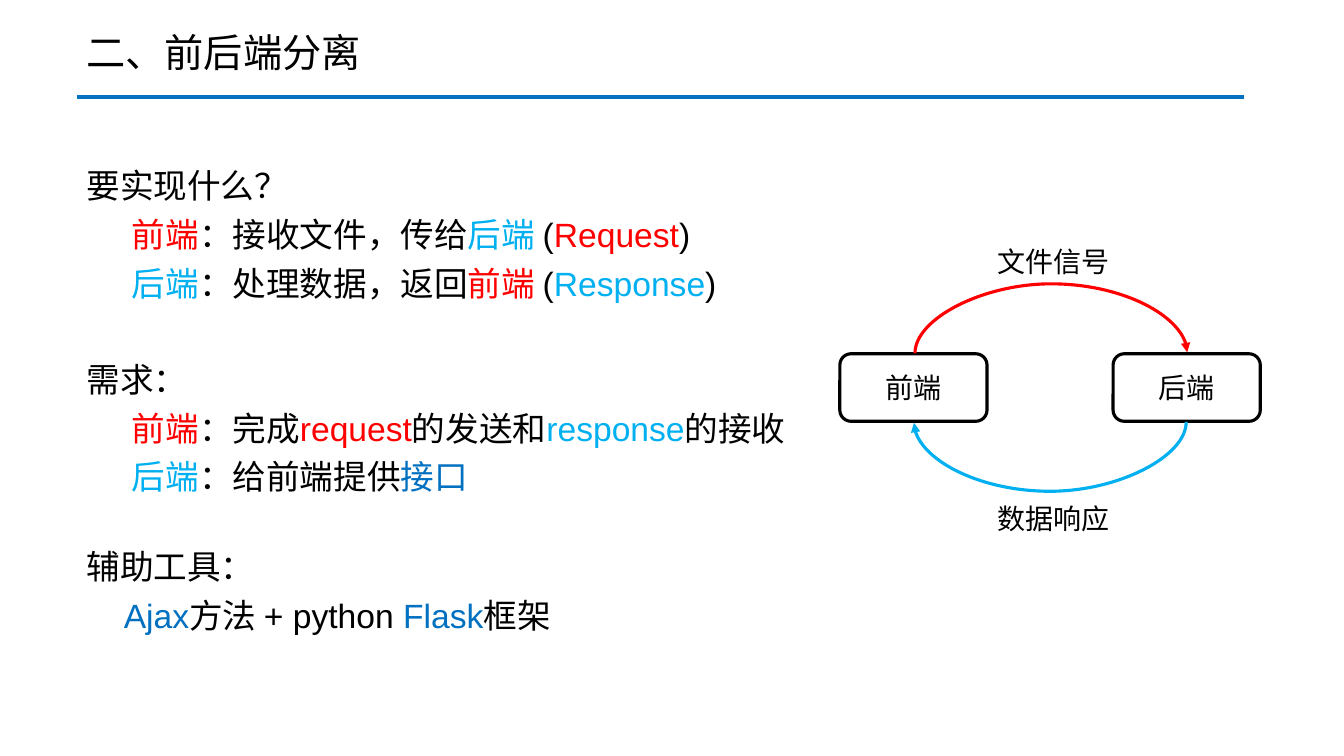
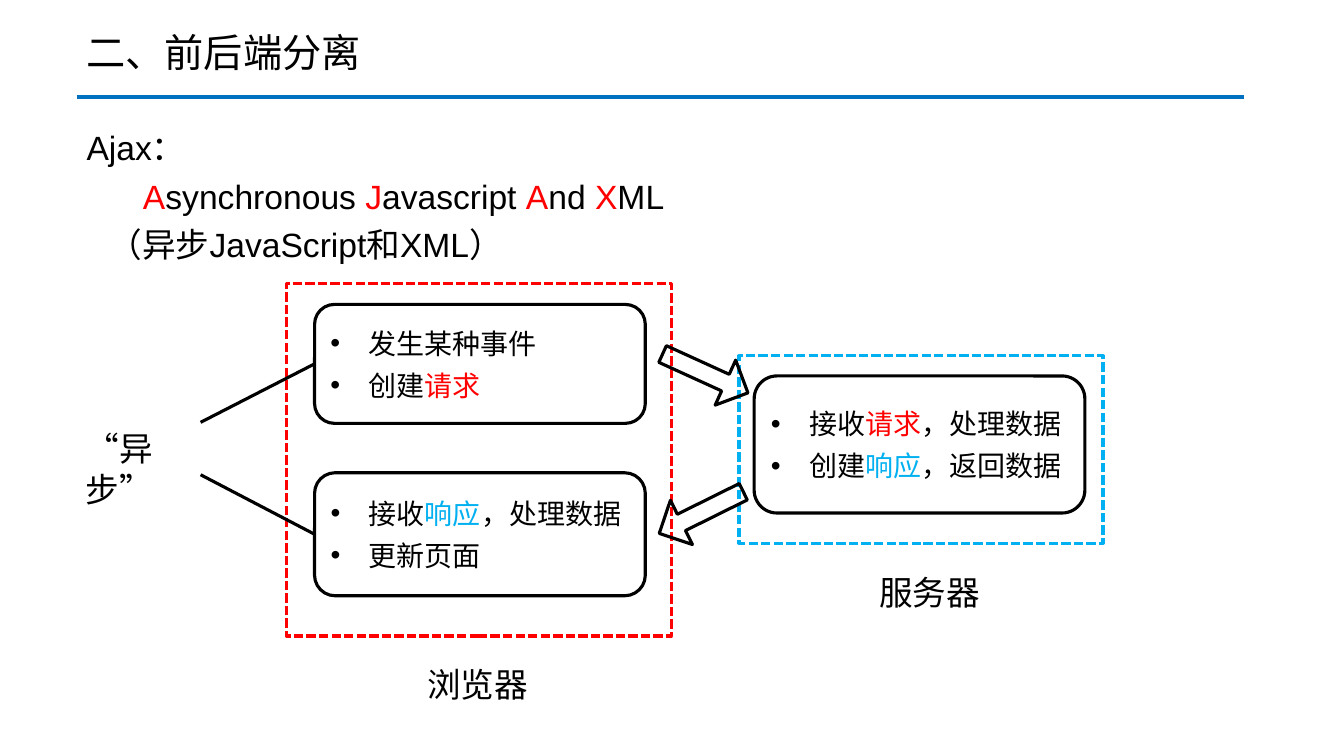
from lxml.etree import SubElement
from pptx import Presentation
from pptx.dml.color import RGBColor
from pptx.enum.dml import MSO_LINE
from pptx.enum.shapes import MSO_CONNECTOR, MSO_SHAPE
from pptx.enum.text import MSO_ANCHOR, MSO_AUTO_SIZE, PP_ALIGN
from pptx.oxml.ns import qn
from pptx.util import Inches, Pt

BLACK = RGBColor(0x00, 0x00, 0x00)
RED = RGBColor(0xFF, 0x00, 0x00)
SKY = RGBColor(0x00, 0xB0, 0xF0)
BLUE = RGBColor(0x00, 0x70, 0xC0)
LATIN_FONT = "Arial"
CHINESE_FONT = "Noto Sans CJK SC"
TITLE = "二、前后端分离"
LEFT = 0.76
LINE_WIDTH = 2.25


def write(shape, paragraphs, size, align=PP_ALIGN.LEFT, bullet=False, after=6):
    """Fill a shape with (indent, runs) paragraphs; a run is (text, colour)."""
    frame = shape.text_frame
    frame.word_wrap = True
    for i, (indent, runs) in enumerate(paragraphs):
        paragraph = frame.add_paragraph() if i else frame.paragraphs[0]
        paragraph.alignment = align
        paragraph.space_after = Pt(after)
        props = paragraph._p.get_or_add_pPr()
        props.set("marL", str(Inches(indent)))
        if bullet:
            props.set("indent", str(-Inches(indent)))
            SubElement(props, qn("a:buFont"), typeface=LATIN_FONT)
            SubElement(props, qn("a:buChar"), char="•")
        for text, color in runs:
            run = paragraph.add_run()
            run.text = text
            run.font.size = Pt(size)
            run.font.color.rgb = color
            run.font.name = LATIN_FONT
            SubElement(run._r.get_or_add_rPr(), qn("a:ea"), typeface=CHINESE_FONT)


def outline(slide, preset, box, color=BLACK):
    """Add an unfilled preset shape."""
    shape = slide.shapes.add_shape(preset, *map(Inches, box))
    shape.shadow.inherit = False
    shape.fill.background()
    shape.line.color.rgb = color
    shape.line.width = Pt(LINE_WIDTH)
    shape.text_frame.vertical_anchor = MSO_ANCHOR.MIDDLE
    return shape


prs = Presentation()
prs.slide_width, prs.slide_height = Inches(13.33), Inches(7.5)
overview, ajax = (prs.slides.add_slide(prs.slide_layouts[6]) for _ in range(2))
strokes = []  # (connector, colour, width)

# Shared title and rule
for slide in (overview, ajax):
    rule = slide.shapes.add_connector(
        MSO_CONNECTOR.STRAIGHT, Inches(LEFT), Inches(0.96), Inches(12.34), Inches(0.96))
    strokes.append((rule, BLUE, 3))
    title = slide.shapes.add_textbox(Inches(LEFT), Inches(0.23), Inches(6.57), Inches(0.57))
    write(title, [(0, [(TITLE, BLACK)])], 28, after=0)

# Text blocks: slide, box, size, paragraphs
goal = [
    (0, [("要实现什么？", BLACK)]),
    (0.45, [("前端", RED), ("：接收文件，传给", BLACK), ("后端 ", SKY),
            ("(", BLACK), ("Request", RED), (")", BLACK)]),
    (0.45, [("后端", SKY), ("：处理数据，返回", BLACK), ("前端 ", RED),
            ("(", BLACK), ("Response", SKY), (")", BLACK)]),
]
needs = [
    (0, [("需求：", BLACK)]),
    (0.45, [("前端", RED), ("：完成", BLACK), ("request", RED), ("的发送和", BLACK),
            ("response", SKY), ("的接收", BLACK)]),
    (0.45, [("后端", SKY), ("：给前端提供", BLACK), ("接口", BLUE)]),
]
tools = [
    (0, [("辅助工具：", BLACK)]),
    (0.37, [("Ajax", BLUE), ("方法 + python ", BLACK), ("Flask", BLUE), ("框架", BLACK)]),
]
acronym = [
    (0, [("Ajax：", BLACK)]),
    (0.56, [("A", RED), ("synchronous ", BLACK), ("J", RED), ("avascript ", BLACK),
            ("A", RED), ("nd ", BLACK), ("X", RED), ("ML", BLACK)]),
    (0.22, [("（异步JavaScript和XML）", BLACK)]),
]
for slide, box, size, paragraphs in [
    (overview, (LEFT, 1.59, 6.77, 1.48), 24, goal),
    (overview, (LEFT, 3.51, 7.5, 1.48), 24, needs),
    (overview, (LEFT, 5.37, 6.77, 0.99), 24, tools),
    (overview, (9.79, 2.38, 1.32, 0.44), 20, [(0, [("文件信号", BLACK)])]),
    (overview, (9.79, 4.93, 1.32, 0.44), 20, [(0, [("数据响应", BLACK)])]),
    (ajax, (LEFT, 1.21, 6.31, 1.48), 24, acronym),
    (ajax, (4.14, 6.54, 1.39, 0.5), 24, [(0, [("浏览器", BLACK)])]),
    (ajax, (8.62, 5.62, 1.39, 0.5), 24, [(0, [("服务器", BLACK)])]),
    (ajax, (0.75, 4.2, 1.39, 0.5), 24, [(0, [("“异步”", BLACK)])]),
]:
    block = slide.shapes.add_textbox(*map(Inches, box))
    write(block, paragraphs, size)
    block.text_frame.auto_size = MSO_AUTO_SIZE.SHAPE_TO_FIT_TEXT

# Front end and back end boxes
for left, name in [(8.33, "前端"), (11.04, "后端")]:
    end = outline(overview, MSO_SHAPE.ROUNDED_RECTANGLE, (left, 3.51, 1.46, 0.67))
    write(end, [(0, [(name, BLACK)])], 20, PP_ALIGN.CENTER, after=0)

# Request and response arcs: thin connectors turned by 90 degrees, bulging 0.7 inch
for start, stop, color in [
    ((10.43, 4.85), (10.42, 2.15), RED),
    ((10.41, 2.84), (10.42, 5.54), SKY),
]:
    arc = overview.shapes.add_connector(MSO_CONNECTOR.CURVE, *map(Inches, start + stop))
    properties = arc._element.spPr
    properties.find(qn("a:xfrm")).set("rot", str(90 * 60000))
    guides = properties.find(qn("a:prstGeom")).get_or_add_avLst()
    SubElement(guides, qn("a:gd"), name="adj1", fmla=f"val {70 * 100000}")
    SubElement(arc.line._get_or_add_ln(), qn("a:tailEnd"), type="triangle")
    strokes.append((arc, color, LINE_WIDTH))

# Browser and server steps
for box, steps in [
    ((3.12, 3.02, 3.28, 1.18),
     [[("发生某种事件", BLACK)], [("创建", BLACK), ("请求", RED)]]),
    ((3.12, 4.69, 3.28, 1.22),
     [[("接收", BLACK), ("响应", SKY), ("，处理数据", BLACK)], [("更新页面", BLACK)]]),
    ((7.48, 3.73, 3.28, 1.36),
     [[("接收", BLACK), ("请求", RED), ("，处理数据", BLACK)],
      [("创建", BLACK), ("响应", SKY), ("，返回数据", BLACK)]]),
]:
    card = outline(ajax, MSO_SHAPE.ROUNDED_RECTANGLE, box)
    write(card, [(0.38, runs) for runs in steps], 20, bullet=True)

# Dashed frames around browser and server
for box, color in [((2.84, 2.81, 3.82, 3.5), RED), ((7.33, 3.53, 3.61, 1.86), SKY)]:
    outline(ajax, MSO_SHAPE.RECTANGLE, box, color).line.dash_style = MSO_LINE.SQUARE_DOT

# Arrows between browser and server
for left, top, angle in [(6.53, 3.46, 24.5), (6.49, 4.84, 153.6)]:
    arrow = outline(ajax, MSO_SHAPE.RIGHT_ARROW, (left, top, 0.93, 0.49))
    arrow.adjustments[0] = 0.37
    arrow.rotation = angle

# Lines from the asynchronous label to the browser steps
for card_y, label_y in [(3.61, 4.19), (5.3, 4.71)]:
    branch = ajax.shapes.add_connector(
        MSO_CONNECTOR.STRAIGHT, Inches(3.12), Inches(card_y), Inches(1.99), Inches(label_y))
    strokes.append((branch, BLACK, LINE_WIDTH))

# Line style of all connectors
for connector, color, width in strokes:
    connector.line.color.rgb = color
    connector.line.width = Pt(width)
    SubElement(connector._element.spPr, qn("a:effectLst"))

prs.save("out.pptx")
